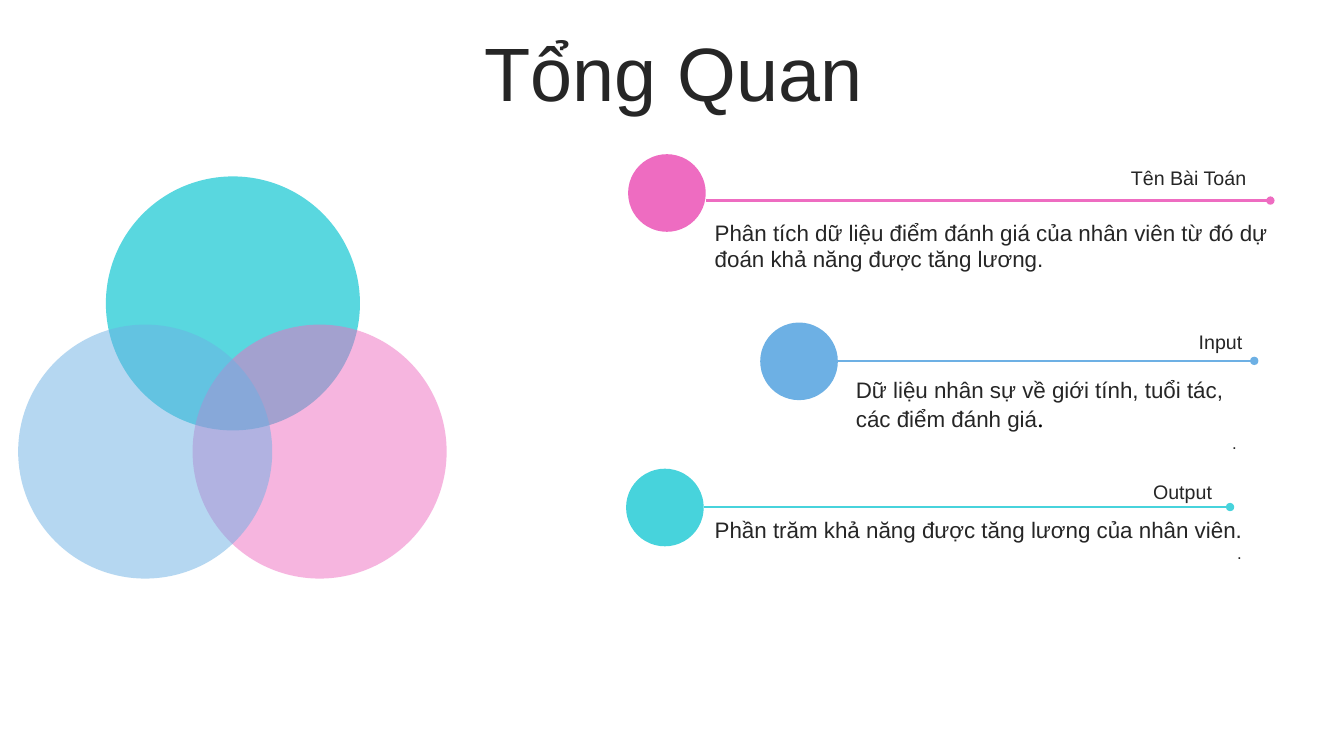
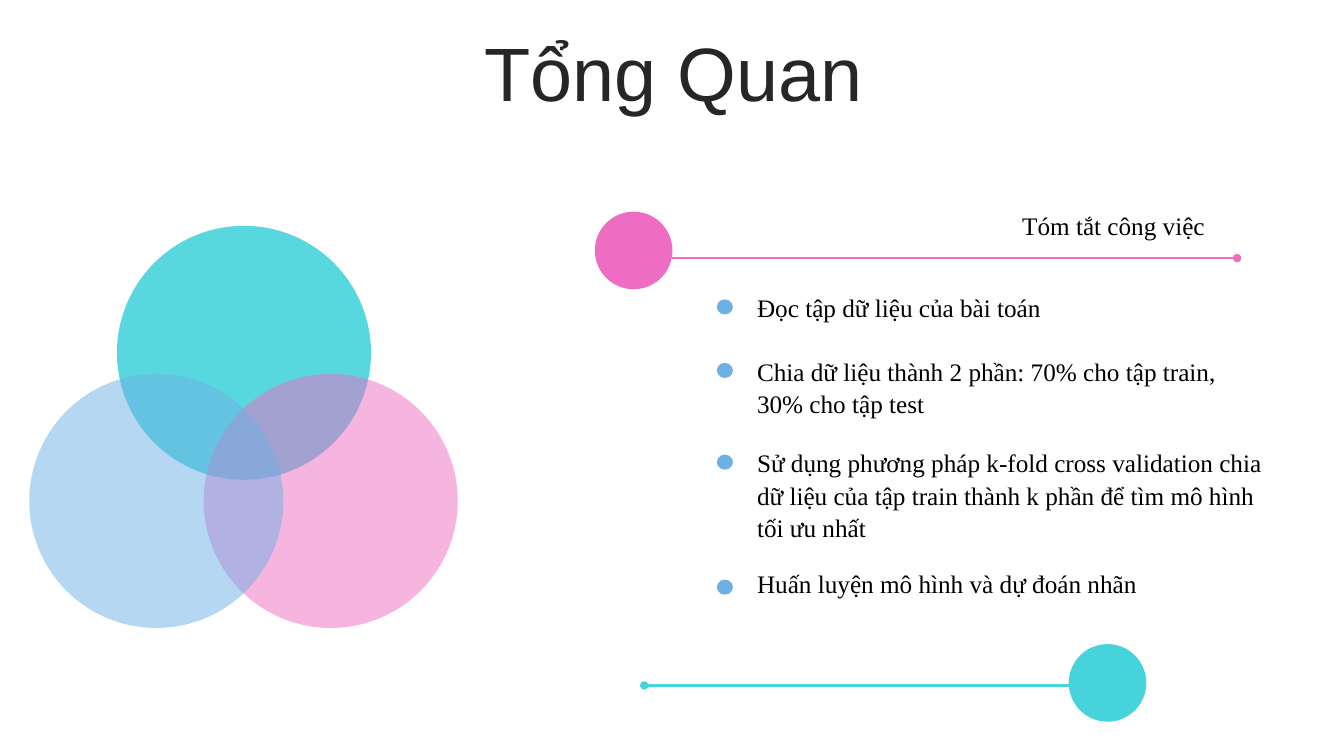
from lxml.etree import SubElement
from pptx import Presentation
from pptx.dml.color import RGBColor
from pptx.enum.shapes import MSO_CONNECTOR, MSO_SHAPE
from pptx.enum.text import MSO_ANCHOR, MSO_AUTO_SIZE, PP_ALIGN
from pptx.oxml.ns import qn
from pptx.util import Inches, Pt

PINK, BLUE, TEAL = "EE6CC1", "6DB0E4", "47D3DC"
DARK, BLACK = "262626", "000000"
SANS, SERIF = "Arial", "Times New Roman"
TITLE_ONLY = 5
DISC = 0.77
VENN_DISC = 2.52


def rgb(color):
    return RGBColor.from_string(color)


def write(para, text, size=16, font=SANS, color=DARK, align=None,
          spacing=None, before=None, after=None):
    """Append a formatted span; paragraph settings apply only when given."""
    span = para.add_run()
    span.text = text
    span.font.size = Pt(size)
    span.font.name = font
    span.font.color.rgb = rgb(color)
    if align is not None:
        para.alignment = align
    if spacing is not None:
        para.line_spacing = spacing
    if before is not None:
        para.space_before = Pt(before)
    if after is not None:
        para.space_after = Pt(after)


class Deck:
    """Holds the presentation, its shared style and the current page."""

    def __init__(self):
        self.presentation = Presentation()
        self.presentation.slide_width = Inches(13.33)
        self.presentation.slide_height = Inches(7.5)
        self.page = None

    def new_page(self, title):
        layout = self.presentation.slide_layouts[TITLE_ONLY]
        self.page = self.presentation.slides.add_slide(layout)
        box = self.page.shapes.title
        box.left, box.top = Inches(0.35), Inches(0.37)
        box.width, box.height = Inches(12.66), Inches(0.79)
        frame = box.text_frame
        frame.auto_size = MSO_AUTO_SIZE.NONE
        frame.vertical_anchor = MSO_ANCHOR.MIDDLE
        write(frame.paragraphs[0], title, size=54, align=PP_ALIGN.CENTER,
              spacing=0.9, before=10)

    def ellipse(self, left, top, width, height, color, opacity=100):
        shape = self.page.shapes.add_shape(
            MSO_SHAPE.OVAL, Inches(left), Inches(top), Inches(width), Inches(height))
        shape.shadow.inherit = False
        shape.line.fill.background()
        shape.fill.solid()
        shape.fill.fore_color.rgb = rgb(color)
        if opacity < 100:
            tint = shape.fill._xPr.find(qn("a:solidFill"))[0]
            SubElement(tint, qn("a:alpha"), val=str(opacity * 1000))

    def dotted_line(self, start, end, y, color):
        """Draw a horizontal line that finishes in a dot."""
        line = self.page.shapes.add_connector(
            MSO_CONNECTOR.STRAIGHT, Inches(start), Inches(y), Inches(end), Inches(y))
        line.line.color.rgb = rgb(color)
        line.line.width = Pt(1.75)
        SubElement(line.line._get_or_add_ln(), qn("a:tailEnd"), type="oval")
        SubElement(line._element.spPr, qn("a:effectLst"))

    def marker(self, left, top, line_end, line_y, color):
        """Draw a disc with a line leaving it towards line_end."""
        self.ellipse(left, top, DISC, DISC, color)
        start = left + DISC if line_end > left else left
        self.dotted_line(start, line_end, line_y, color)

    def venn(self, left, top):
        for across, down, color, opacity in (
                (0.87, 0, TEAL, 90), (1.73, 1.47, PINK, 50), (0, 1.47, BLUE, 50)):
            self.ellipse(left + across, top + down, VENN_DISC, VENN_DISC, color, opacity)

    def text_box(self, left, top, width, height):
        box = self.page.shapes.add_textbox(
            Inches(left), Inches(top), Inches(width), Inches(height))
        frame = box.text_frame
        frame.word_wrap = True
        frame.auto_size = MSO_AUTO_SIZE.SHAPE_TO_FIT_TEXT
        return frame

    def section(self, marker, label, label_place, body, body_place):
        """Draw a marker with a right-aligned label above and text below."""
        self.marker(*marker)
        frame = self.text_box(*body_place)
        write(frame.paragraphs[0], body)
        write(self.text_box(*label_place).paragraphs[0], label, size=14,
              align=PP_ALIGN.RIGHT)
        return frame

    def bullet(self, dot_top, text, top, width, height):
        self.ellipse(7.11, dot_top, 0.16, 0.15, BLUE)
        write(self.text_box(7.41, top, width, height).paragraphs[0], text,
              size=18, font=SERIF, color=BLACK, spacing=1.07, after=8)


def overview_page(deck):
    deck.new_page("Tổng Quan")
    deck.venn(0.18, 1.75)
    deck.section(
        (6.23, 1.53, 12.6, 1.99, PINK), "Tên Bài Toán", (8.02, 1.6, 4.44, 0.34),
        "Phân tích dữ liệu điểm đánh giá của nhân viên từ đó dự đoán khả năng "
        "được tăng lương.", (6.99, 2.12, 5.93, 0.64))
    output_text = deck.section(
        (6.21, 4.65, 12.2, 5.03, TEAL), "Output", (7.68, 4.71, 4.44, 0.34),
        "Phần trăm khả năng được tăng lương của nhân viên.", (6.99, 5.07, 5.47, 0.57))
    input_text = deck.section(
        (7.54, 3.2, 12.44, 3.58, BLUE), "Input", (9.14, 3.22, 3.28, 0.34),
        "Dữ liệu nhân sự về giới tính, tuổi tác, các điểm đánh giá",
        (8.39, 3.68, 4.02, 0.91))
    write(input_text.paragraphs[0], ".", size=18, font=SERIF, color=BLACK)
    for frame in (output_text, input_text):
        write(frame.add_paragraph(), ". ", size=12, align=PP_ALIGN.RIGHT)


def tasks_page(deck):
    deck.new_page("Tổng Quan")
    deck.venn(0.29, 2.24)
    deck.marker(5.9, 2.1, 12.27, 2.56, PINK)
    deck.marker(10.6, 6.39, 6.39, 6.8, TEAL)
    write(deck.text_box(10.04, 2.04, 2.66, 0.4).paragraphs[0], "Tóm tắt công việc",
          size=18, font=SERIF, color=BLACK)
    for task in (
            (2.97, "Đọc tập dữ liệu của bài toán", 2.83, 4.38, 0.71),
            (3.6, "Chia dữ liệu thành 2 phần: 70% cho tập train, 30% cho tập test",
             3.46, 5.02, 1.01),
            (4.51, "Sử dụng phương pháp k-fold cross validation chia dữ liệu của tập "
             "train thành k phần để tìm mô hình tối ưu nhất", 4.37, 5.29, 1.49),
            (5.75, "Huấn luyện mô hình và dự đoán nhãn", 5.57, 5.02, 0.84)):
        deck.bullet(*task)


def main():
    deck = Deck()
    overview_page(deck)
    tasks_page(deck)
    deck.presentation.save("out.pptx")


if __name__ == "__main__":
    main()
